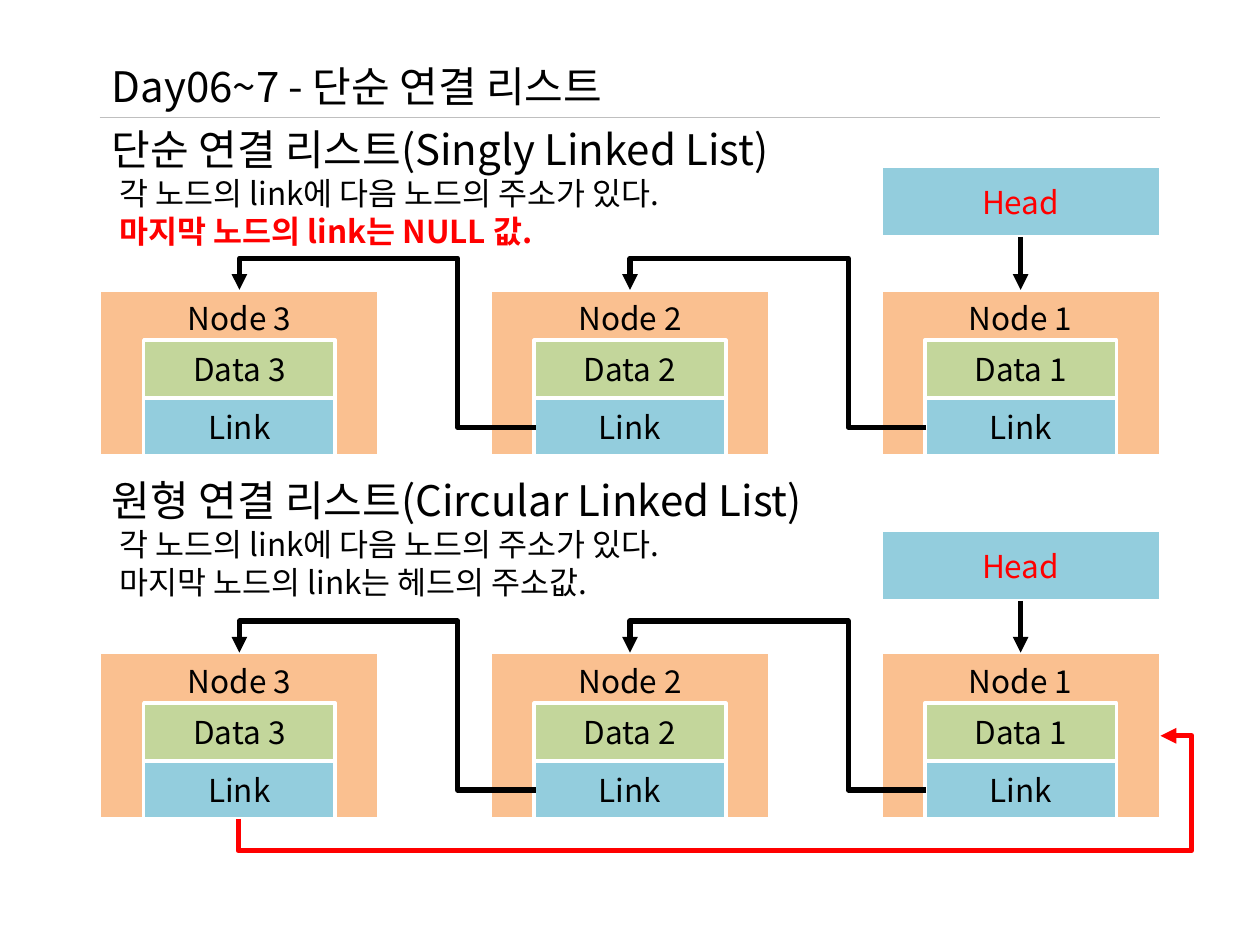
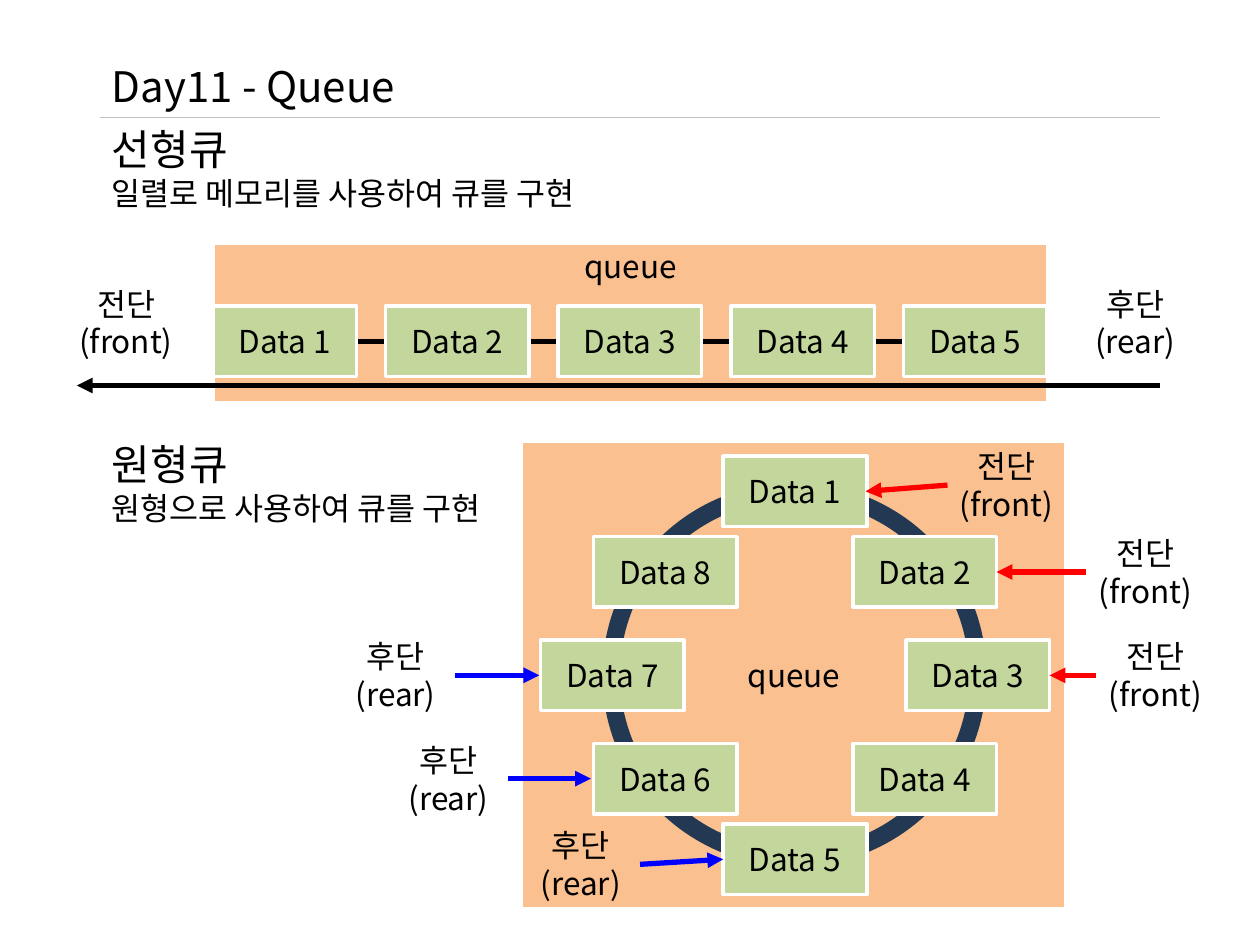
from lxml import etree
from pptx import Presentation
from pptx import util as u
from pptx.dml.color import RGBColor
from pptx.enum import shapes, text
from pptx.oxml.ns import qn

PX = u.Inches(1) // 100
FONT = "Noto Sans CJK KR"
BLACK = RGBColor(0x00, 0x00, 0x00)
WHITE = RGBColor(0xFF, 0xFF, 0xFF)
RED = RGBColor(0xFF, 0x00, 0x00)
BLUE = RGBColor(0x00, 0x00, 0xFF)
RULE_GRAY = RGBColor(0xBF, 0xBF, 0xBF)
ORANGE = RGBColor(0xFA, 0xC0, 0x90)
GREEN = RGBColor(0xC3, 0xD6, 0x9B)
AQUA = RGBColor(0x93, 0xCD, 0xDD)
NAVY = RGBColor(0x23, 0x39, 0x53)

HEADING = {"size": u.Pt(24), "bold": False}
BODY = {"size": u.Pt(18), "bold": False}
STRONG = {"size": u.Pt(18), "bold": True}
CENTER = text.PP_ALIGN.CENTER
FRONT = ["전단", "(front)"]
REAR = ["후단", "(rear)"]
CELL_WIDTH, CELL_HEIGHT = 114, 56


def px(*lengths):
    return [length * PX for length in lengths]


def set_attributes(target, values):
    for name, value in values.items():
        setattr(target, name, value)


def write(paragraph, words, style=BODY, color=BLACK, align=None, indent=0):
    if indent:
        paragraph._p.get_or_add_pPr().set("marL", str(indent * PX))
    paragraph.alignment = align
    run = paragraph.add_run()
    run.text = words
    set_attributes(run.font, {**style, "name": FONT})
    run.font.color.rgb = color
    etree.SubElement(run._r.get_or_add_rPr(), qn("a:ea"), typeface=FONT)


def add_text(slide, left, top, width, height, lines):
    frame = slide.shapes.add_textbox(*px(left, top, width, height)).text_frame
    set_attributes(frame, {"word_wrap": True, "auto_size": text.MSO_AUTO_SIZE.SHAPE_TO_FIT_TEXT})
    for index, line in enumerate(lines):
        paragraph = frame.add_paragraph() if index else frame.paragraphs[0]
        write(paragraph, **line)


def add_label(slide, left, top, width, words):
    add_text(slide, left, top, width, 71, [{"words": word, "align": CENTER} for word in words])


def add_section(slide, top, heading, lines):
    height = 50 + 30 * len(lines)
    add_text(slide, 79, top, 843, height, [{"words": heading, "style": HEADING}, *lines])


def add_box(slide, left, top, width, height, words, fill, color=BLACK, margin_top=None):
    box = slide.shapes.add_shape(shapes.MSO_SHAPE.RECTANGLE, *px(left, top, width, height))
    box.shadow.inherit = False
    box.fill.solid()
    box.fill.fore_color.rgb = fill
    box.line.color.rgb = WHITE
    box.line.width = u.Pt(2)
    frame = box.text_frame
    frame.vertical_anchor = text.MSO_ANCHOR.MIDDLE
    if margin_top is not None:
        set_attributes(frame, {"vertical_anchor": text.MSO_ANCHOR.TOP, "margin_top": margin_top * PX})
    write(frame.paragraphs[0], words, color=color, align=CENTER)


def add_line(slide, begin, end, color=BLACK, width=3, arrow=True, kind=shapes.MSO_CONNECTOR.STRAIGHT):
    line = slide.shapes.add_connector(kind, *px(*begin, *end))
    line.line.color.rgb = color
    line.line.width = u.Pt(width)
    if arrow:
        etree.SubElement(line.line._get_or_add_ln(), qn("a:tailEnd"), type="triangle")
    etree.SubElement(line._element.spPr, qn("a:effectLst"))
    return line


def add_bent_arrow(slide, begin, end, rotation, bends, color=BLACK):
    arrow = add_line(slide, begin, end, color, kind=shapes.MSO_CONNECTOR.ELBOW)
    properties = arrow._element.spPr
    properties.find(qn("a:xfrm")).set("rot", str(rotation * 60000))
    geometry = properties.find(qn("a:prstGeom"))
    geometry.set("prst", "bentConnector4")
    guides = geometry.find(qn("a:avLst"))
    if guides is None:
        guides = etree.SubElement(geometry, qn("a:avLst"))
    for number, bend in enumerate(bends, 1):
        etree.SubElement(guides, qn("a:gd"), name=f"adj{number}", fmla=f"val {bend}")


def add_slide(presentation, title):
    slide = presentation.slides.add_slide(presentation.slide_layouts[6])
    add_text(slide, 79, 43, 843, 50, [{"words": title, "style": HEADING}])
    add_line(slide, (79, 93), (921, 93), RULE_GRAY, 0.75, arrow=False)
    return slide


def add_node(slide, left, top, number):
    add_box(slide, left, top, 222, 132, f"Node {number}", ORANGE, margin_top=7)
    add_box(slide, left + 35, top + 40, 152, 46, f"Data {number}", GREEN)
    add_box(slide, left + 35, top + 86, 152, 46, "Link", AQUA)


def add_linked_list(slide, top, head_top):
    lefts = [79, 389, 699]
    for left, number in zip(lefts, (3, 2, 1)):
        add_node(slide, left, top, number)
    for left in lefts[:-1]:
        add_bent_arrow(slide, (left + 111, top), (left + 346, top + 109), 180, (26300, 123000))
    add_box(slide, 699, head_top, 222, 56, "Head", AQUA, RED)
    add_line(slide, (810, head_top + 56), (810, top))


def add_cell(slide, left, top, number):
    add_box(slide, left, top, CELL_WIDTH, CELL_HEIGHT, f"Data {number}", GREEN)


def add_linear_queue(slide):
    add_box(slide, 169, 193, 663, 127, "queue", ORANGE, margin_top=3)
    add_line(slide, (831, 271), (169, 271), arrow=False)
    for index in range(5):
        add_cell(slide, 169 + 137 * index, 243, index + 1)
    add_label(slide, 31, 221, 138, FRONT)
    add_label(slide, 832, 221, 138, REAR)
    add_line(slide, (921, 306), (61, 306))


def add_circular_queue(slide):
    add_box(slide, 414, 350, 432, 371, "queue", ORANGE)
    ring = slide.shapes.add_shape(shapes.MSO_SHAPE.OVAL, *px(485, 390, 291, 291))
    ring.shadow.inherit = False
    ring.fill.background()
    ring.line.color.rgb = NAVY
    ring.line.width = u.Pt(10)

    half_turn = [(0, -146), (103, -82), (145, 0), (103, 82)]
    offsets = half_turn + [(-x, -y) for x, y in half_turn]
    for number, (x, y) in enumerate(offsets, 1):
        add_cell(slide, 631 + x - CELL_WIDTH // 2, 536 + y - CELL_HEIGHT // 2, number)

    for left, top, tip in [(752, 350, (687, 390)), (862, 419, (791, 454)), (870, 501, (833, 536))]:
        add_label(slide, left, top, 94, FRONT)
        add_line(slide, (left, top + 35), tip, RED)
    for left, top, tip in [(414, 651, (574, 682)), (309, 583, (469, 618)), (267, 501, (428, 536))]:
        add_label(slide, left, top, 94, REAR)
        add_line(slide, (left + 94, top + 35), tip, BLUE)


def build_linked_lists(presentation):
    slide = add_slide(presentation, "Day06~7 - 단순 연결 리스트")
    next_node = {"words": "각 노드의 link에 다음 노드의 주소가 있다.", "indent": 6}
    add_section(slide, 93, "단순 연결 리스트(Singly Linked List)", [
        next_node,
        {"words": "마지막 노드의 link는 NULL 값.", "style": STRONG, "color": RED, "indent": 6},
    ])
    add_section(slide, 372, "원형 연결 리스트(Circular Linked List)", [
        next_node,
        {"words": "마지막 노드의 link는 헤드의 주소값.", "indent": 6},
    ])
    add_linked_list(slide, 230, 132)
    add_linked_list(slide, 518, 421)
    add_bent_arrow(slide, (588, 983), (522, 251), 90, (-37900, 103400), RED)


def build_queues(presentation):
    slide = add_slide(presentation, "Day11 - Queue")
    add_section(slide, 93, "선형큐", [{"words": "일렬로 메모리를 사용하여 큐를 구현"}])
    add_section(slide, 343, "원형큐", [{"words": "원형으로 사용하여 큐를 구현"}])
    add_linear_queue(slide)
    add_circular_queue(slide)


def main():
    presentation = Presentation()
    set_attributes(presentation, {"slide_width": 1000 * PX, "slide_height": 750 * PX})
    build_linked_lists(presentation)
    build_queues(presentation)
    presentation.save("out.pptx")


if __name__ == "__main__":
    main()
